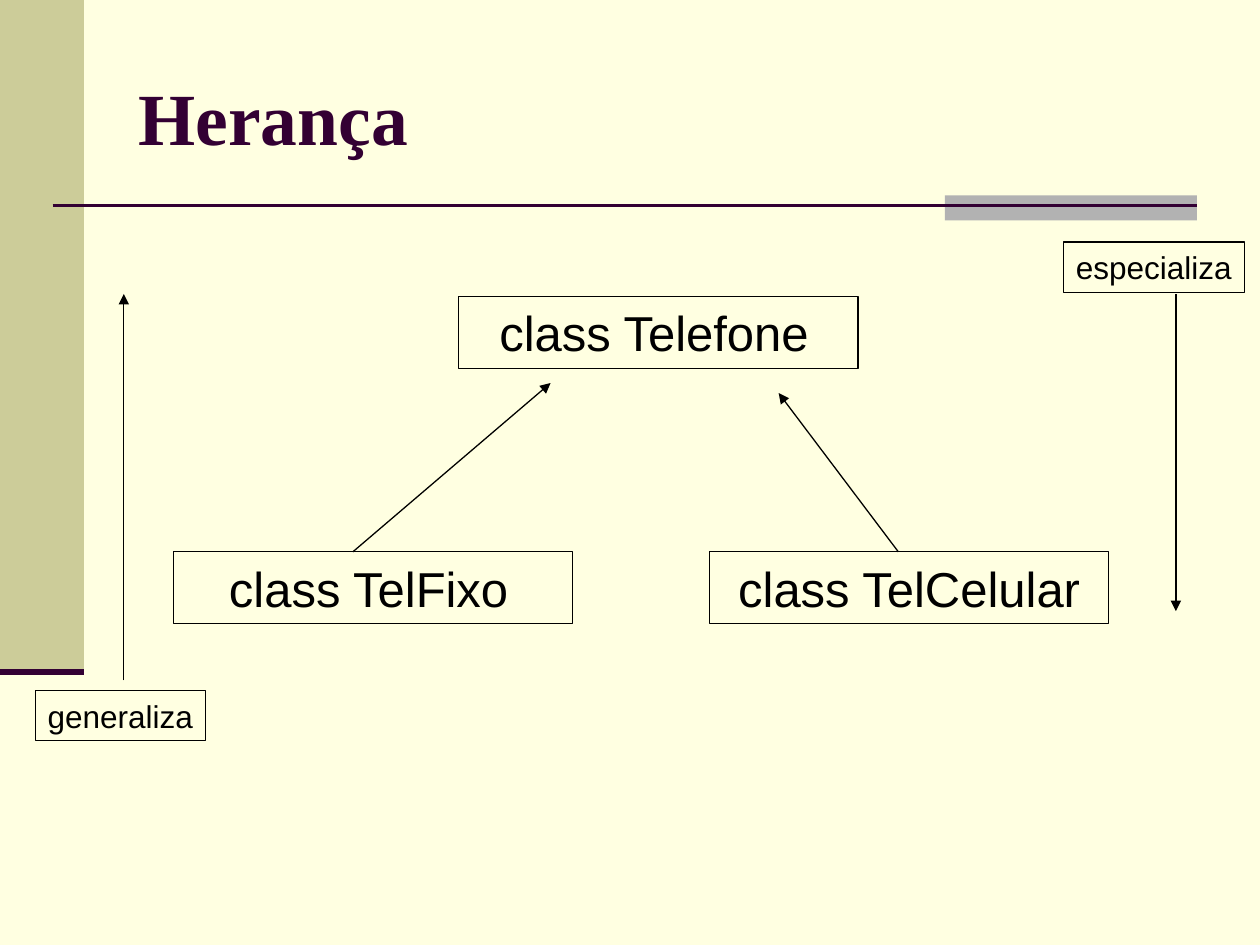
from dataclasses import dataclass

from lxml.etree import SubElement
from pptx import Presentation
from pptx.dml.color import RGBColor as Rgb
from pptx.enum.shapes import MSO_CONNECTOR as Link, MSO_SHAPE as Kind
from pptx.enum.text import MSO_ANCHOR as Anchor, MSO_AUTO_SIZE as Fit, PP_ALIGN as Align
from pptx.oxml.ns import qn
from pptx.util import Inches, Pt


@dataclass(frozen=True)
class Theme:
    page: str = "FFFFE1"
    band: str = "CCCC99"
    block: str = "B2B2B2"
    dark: str = "330033"
    ink: str = "000000"
    serif: str = "Times New Roman"
    sans: str = "Arial"
    title: int = 42
    name: int = 28
    note: int = 18
    thin: float = 0.75
    rule: float = 1.5
    thick: float = 3.5


THEME = Theme()
COLS, ROWS = 100, 75
WIDE, HIGH = Inches(10), Inches(7.5)


def grid(col, row):
    """Turn columns and rows into slide lengths."""
    return round(col * WIDE / COLS), round(row * HIGH / ROWS)


def color(code):
    return Rgb.from_string(code)


def write(frame, text, size, font=THEME.sans, ink=THEME.ink, bold=False,
          align=Align.LEFT, anchor=Anchor.TOP, wrap=True, gap=None):
    """Fill a frame; gap is the size of a closing space."""
    frame.word_wrap = wrap
    frame.vertical_anchor = anchor
    if not wrap:
        frame.margin_right = Inches(0.05)
    para = frame.paragraphs[0]
    para.alignment = align
    parts = [(text, size)] + ([(" ", gap)] if gap else [])
    for part, points in parts:
        run = para.add_run()
        run.text = part
        run.font.size = Pt(points)
        run.font.name = font
        run.font.bold = bold
        run.font.color.rgb = color(ink)


def rect(slide, col, row, wide, high, fill=None, line=None):
    box = slide.shapes.add_shape(Kind.RECTANGLE, *grid(col, row), *grid(wide, high))
    box.shadow.inherit = False
    if fill:
        box.fill.solid()
        box.fill.fore_color.rgb = color(fill)
    else:
        box.fill.background()
    if line:
        box.line.color.rgb = color(line)
        box.line.width = Pt(THEME.thin)
    else:
        box.line.fill.background()
    return box


def label(slide, text, size, col, row, wide, high, **form):
    box = rect(slide, col, row, wide, high, line=THEME.ink)
    write(box.text_frame, text, size, **form)
    box.text_frame.auto_size = Fit.SHAPE_TO_FIT_TEXT


def line(slide, start, end, ink=THEME.ink, width=THEME.thin, arrow=False):
    link = slide.shapes.add_connector(Link.STRAIGHT, *grid(*start), *grid(*end))
    link.line.color.rgb = color(ink)
    link.line.width = Pt(width)
    if arrow:
        SubElement(link.line._get_or_add_ln(), qn("a:tailEnd"), type="triangle")
    SubElement(link._element.spPr, qn("a:effectLst"))


def frame(slide):
    """Draw the side band and the rule below the title."""
    rect(slide, 0, 0, 6.67, 53.3, fill=THEME.band)
    rect(slide, 75, 15.5, 20, 2, fill=THEME.block)
    line(slide, (4.17, 16.33), (95, 16.33), THEME.dark, THEME.rule)
    line(slide, (0, 53.33), (6.67, 53.33), THEME.dark, THEME.thick)


def head(slide, text):
    title = slide.shapes.title
    title.left, title.top = grid(10, 3)
    title.width, title.height = grid(85, 12.5)
    write(title.text_frame, text, THEME.title, font=THEME.serif, ink=THEME.dark,
          bold=True, anchor=Anchor.MIDDLE)


def tree(slide):
    """Draw the parent class, its two children and their arrows."""
    low = 43.8
    for text, col, row, gap in (
        ("class Telefone", 36.4, 23.54, THEME.note),
        ("class TelFixo", 13.75, low, THEME.note),
        ("class TelCelular", 56.3, low, None),
    ):
        label(slide, text, THEME.name, col, row, 31.7, 5.7,
              align=Align.CENTER, gap=gap)
    line(slide, (28, low), (43.7, 30.4), arrow=True)
    line(slide, (71.3, low), (61.8, 31.2), arrow=True)


def sides(slide):
    """Draw the two reading directions with their labels."""
    top = 23.33
    line(slide, (9.83, 54), (9.83, top), arrow=True)
    line(slide, (93.33, top), (93.33, 48.5), arrow=True)
    label(slide, "especializa", THEME.note, 84.4, 19.2, 14.4, 4, wrap=False)
    label(slide, "generaliza", THEME.note, 2.8, 54.8, 13.5, 4, wrap=False)


def main():
    deck = Presentation()
    deck.slide_width, deck.slide_height = WIDE, HIGH
    slide = deck.slides.add_slide(deck.slide_layouts.get_by_name("Title Only"))
    slide.background.fill.solid()
    slide.background.fill.fore_color.rgb = color(THEME.page)
    frame(slide)
    head(slide, "Herança")
    tree(slide)
    sides(slide)
    deck.save("out.pptx")


if __name__ == "__main__":
    main()
